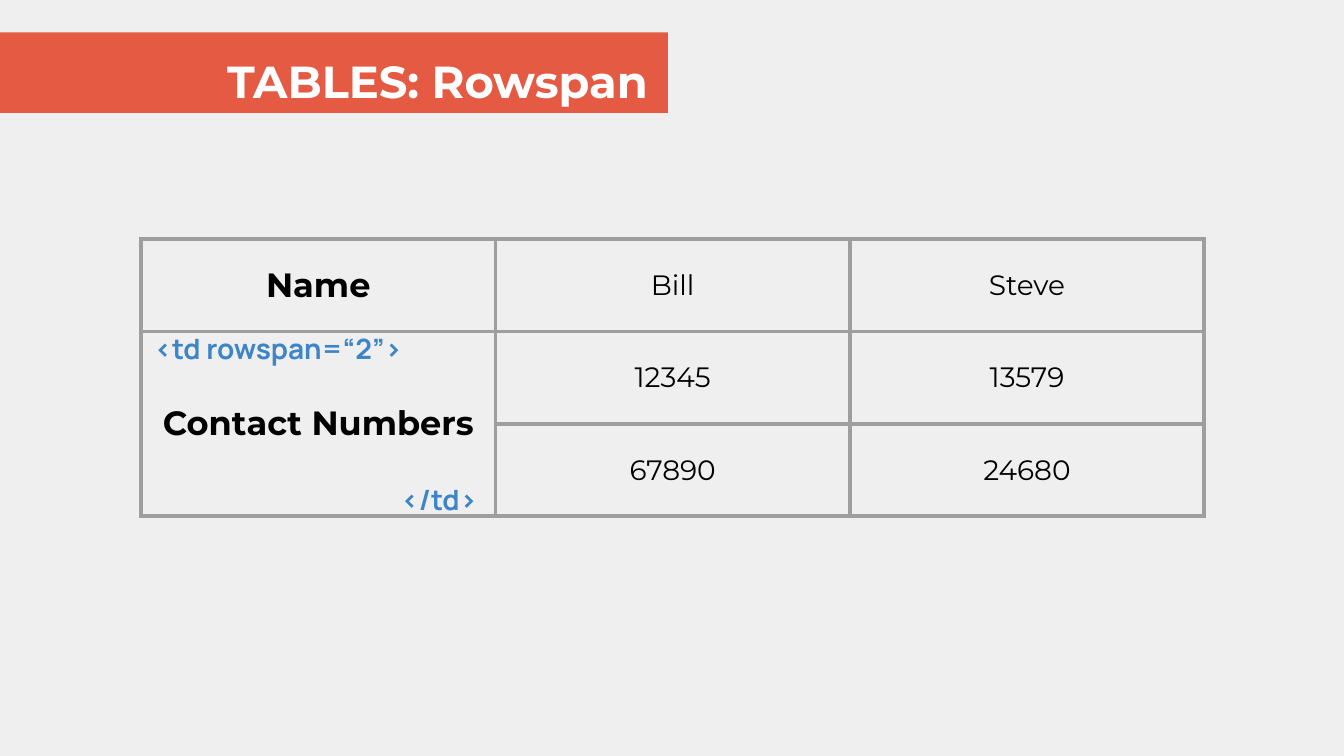
from dataclasses import dataclass

from lxml.etree import SubElement
from pptx import Presentation
from pptx.dml.color import RGBColor as RGB
from pptx.enum.text import MSO_ANCHOR as Anchor, PP_ALIGN as Align
from pptx.oxml.ns import qn
from pptx.util import Inches, Pt


@dataclass(frozen=True)
class Theme:
    back: str = "EFEFEF"
    band: str = "E55A43"
    light: str = "FFFFFF"
    dark: str = "000000"
    code: str = "3D85C6"
    rule: str = "9E9E9E"
    face: str = "Montserrat"
    mono: str = "Manrope"
    title: int = 24
    head: int = 18
    body: int = 15
    line: float = 2.25


theme = Theme()

ROWS = [
    ["Name", "Bill", "Steve"],
    ["Contact Numbers", "12345", "13579"],
    ["", "67890", "24680"],
]


def paint(fill, color):
    fill.solid()
    fill.fore_color.rgb = RGB.from_string(color)


def style(part, face, size, color, bold, align):
    part.alignment = align
    font = part.font
    font.name, font.size, font.bold = face, Pt(size), bold
    font.color.rgb = RGB.from_string(color)


def inset(item, left, top, right, low):
    item.margin_left, item.margin_top = Inches(left), Inches(top)
    item.margin_right, item.margin_bottom = Inches(right), Inches(low)


def add_title(slide, box, text):
    shape = slide.shapes.title
    shape.left, shape.top, shape.width, shape.height = map(Inches, box)
    paint(shape.fill, theme.band)
    frame = shape.text_frame
    frame.text = text
    frame.word_wrap = True
    frame.vertical_anchor = Anchor.BOTTOM
    inset(frame, 0.75, 0.04, 0.15, 0.04)
    style(frame.paragraphs[0], theme.face, theme.title, theme.light, True,
          Align.RIGHT)


def add_edges(cell):
    props = cell._tc.get_or_add_tcPr()
    for side in ("lnL", "lnR", "lnT", "lnB"):
        line = SubElement(props, qn(f"a:{side}"), w=str(Pt(theme.line)))
        fill = SubElement(line, qn("a:solidFill"))
        SubElement(fill, qn("a:srgbClr"), val=theme.rule)


def add_tag(slide, box, text, anchor):
    frame = slide.shapes.add_textbox(*map(Inches, box)).text_frame
    frame.text = text
    frame.word_wrap = True
    frame.vertical_anchor = anchor
    top, low = (0, 0.1) if anchor == Anchor.TOP else (0.1, 0)
    inset(frame, 0.1, top, 0.1, low)
    style(frame.paragraphs[0], theme.mono, theme.body, theme.code, True,
          Align.LEFT)


def add_grid(slide, box, rows):
    left, top, width, height = box
    grid = slide.shapes.add_table(len(rows), len(rows[0]),
                                  *map(Inches, box)).table
    grid.first_row = grid.horz_banding = False
    for r, row in enumerate(rows):
        for c, text in enumerate(row):
            cell = grid.cell(r, c)
            cell.text = text
            cell.vertical_anchor = Anchor.MIDDLE
            inset(cell, 0.1, 0.1, 0.1, 0.1)
            add_edges(cell)
            paint(cell.fill, theme.back)
            head = c == 0
            style(cell.text_frame.paragraphs[0], theme.face,
                  theme.head if head else theme.body, theme.dark, head,
                  Align.CENTER)
    grid.cell(1, 0).merge(grid.cell(2, 0))

    step, col = height / len(rows), width / len(rows[0])
    add_tag(slide, (left, top + step, 2.17, 0.41), "<td rowspan=“2”>",
            Anchor.TOP)
    add_tag(slide, (left + col - 0.8, top + height - 0.41, 0.8, 0.41),
            "</td>", Anchor.BOTTOM)


def main():
    deck = Presentation()
    deck.slide_width = Inches(10)
    deck.slide_height = deck.slide_width * 9 // 16
    slide = deck.slides.add_slide(deck.slide_layouts[5])
    paint(slide.background.fill, theme.back)
    add_title(slide, (0, 0.24, 4.97, 0.6), "TABLES: Rowspan")
    add_grid(slide, (1.05, 1.78, 7.91, 2.06), ROWS)
    deck.save("out.pptx")


if __name__ == "__main__":
    main()
